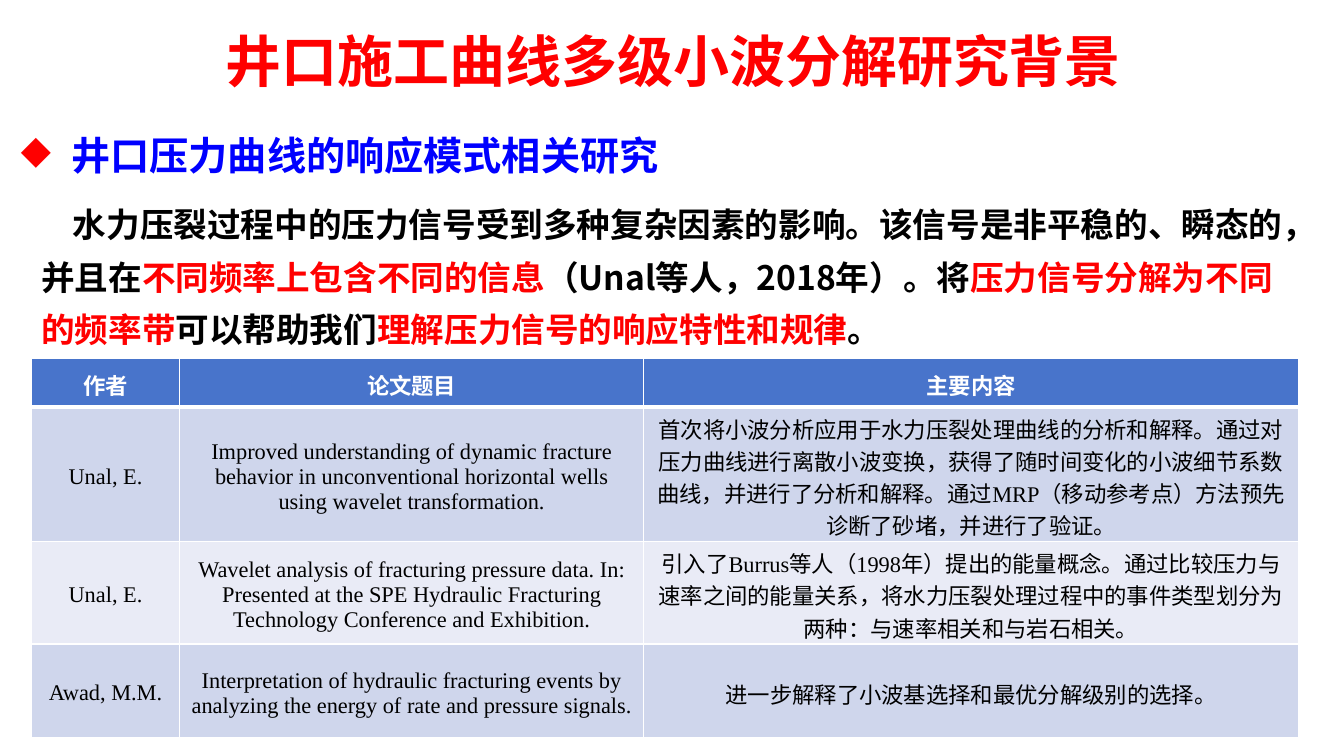
from lxml.etree import SubElement
from pptx import Presentation
from pptx.dml.color import RGBColor
from pptx.enum.text import MSO_ANCHOR as Anchor, MSO_AUTO_SIZE as AutoSize, PP_ALIGN as Align
from pptx.oxml.ns import qn
from pptx.util import Cm, Pt

RED = RGBColor(0xFF, 0, 0)
BLUE = RGBColor(0, 0, 0xFF)
BLACK = RGBColor(0, 0, 0)
WHITE = RGBColor(0xFF, 0xFF, 0xFF)
HEADER_FILL = RGBColor(0x48, 0x74, 0xCB)
BAND_FILLS = [RGBColor(0xE9, 0xEB, 0xF6), RGBColor(0xCF, 0xD6, 0xEC)]
SANS = "Noto Sans CJK SC"
SERIF = "Times New Roman"

TITLE = "井口施工曲线多级小波分解研究背景"
HEADING = "井口压力曲线的响应模式相关研究"
BODY = [
    ("水力压裂过程中的压力信号受到多种复杂因素的影响。该信号是非平稳的、瞬态的，并且在", BLACK),
    ("不同频率上包含不同的信息", RED),
    ("（Unal等人，2018年）。将", BLACK),
    ("压力信号分解为不同的频率带", RED),
    ("可以帮助我们", BLACK),
    ("理解压力信号的响应特性和规律", RED),
    ("。", BLACK),
]
PAPERS = [
    ("作者", "论文题目", "主要内容"),
    ("Unal, E.",
     "Improved understanding of dynamic fracture behavior in unconventional horizontal wells "
     "using wavelet transformation.",
     "首次将小波分析应用于水力压裂处理曲线的分析和解释。通过对压力曲线进行离散小波变换，"
     "获得了随时间变化的小波细节系数曲线，并进行了分析和解释。"
     "通过MRP（移动参考点）方法预先诊断了砂堵，并进行了验证。"),
    ("Unal, E.",
     "Wavelet analysis of fracturing pressure data. In: Presented at the SPE Hydraulic Fracturing "
     "Technology Conference and Exhibition.",
     "引入了Burrus等人（1998年）提出的能量概念。通过比较压力与速率之间的能量关系，"
     "将水力压裂处理过程中的事件类型划分为两种：与速率相关和与岩石相关。"),
    ("Awad, M.M.",
     "Interpretation of hydraulic fracturing events by analyzing the energy of rate and pressure signals.",
     "进一步解释了小波基选择和最优分解级别的选择。"),
]
COLUMN_WIDTHS = [Cm(3.74), Cm(11.69), Cm(16.51)]
ROW_HEIGHTS = [Cm(1.24), Cm(3.38), Cm(2.59), Cm(2.36)]


def add_run(paragraph, text, size, color, font_name, bold=True):
    run = paragraph.add_run()
    run.text = text
    run.font.size = Pt(size)
    run.font.bold = bold
    run.font.color.rgb = color
    run.font.name = font_name
    SubElement(run.font._element, qn("a:ea"), typeface=SANS)


def add_text_box(slide, left, top, width, height):
    frame = slide.shapes.add_textbox(left, top, width, height).text_frame
    frame.word_wrap = True
    return frame.paragraphs[0]


def set_indent(paragraph, left, first_line):
    properties = paragraph._p.get_or_add_pPr()
    properties.set("marL", str(left))
    properties.set("indent", str(first_line))
    return properties


def add_borders(cell, bottom_width):
    properties = cell._tc.get_or_add_tcPr()
    widths = {"a:lnL": 1, "a:lnR": 1, "a:lnT": 1, "a:lnB": bottom_width}
    for position, (tag, width) in enumerate(widths.items()):
        line = SubElement(properties, qn(tag), w=str(Pt(width)))
        fill = SubElement(line, qn("a:solidFill"))
        SubElement(fill, qn("a:srgbClr"), val=str(WHITE))
        properties.insert(position, line)


def add_title(slide):
    title = slide.shapes.title
    title.left, title.top, title.width, title.height = Cm(4.27), Cm(0.53), Cm(25.4), Cm(1.96)
    frame = title.text_frame
    frame.auto_size = AutoSize.NONE
    frame.vertical_anchor = Anchor.MIDDLE
    frame.paragraphs[0].alignment = Align.CENTER
    add_run(frame.paragraphs[0], TITLE, 40, RED, SANS)


def add_heading(slide):
    paragraph = add_text_box(slide, Cm(0.28), Cm(3.18), Cm(17.88), Cm(1.45))
    properties = set_indent(paragraph, Cm(1.27), -Cm(1.27))
    bullet_color = SubElement(properties, qn("a:buClr"))
    SubElement(bullet_color, qn("a:srgbClr"), val=str(RED))
    SubElement(properties, qn("a:buChar"), char="◆")
    add_run(paragraph, HEADING, 28, BLUE, SERIF)


def add_body(slide):
    paragraph = add_text_box(slide, Cm(0.79), Cm(4.72), Cm(32.28), Cm(4.24))
    set_indent(paragraph, 0, Cm(0.8))
    paragraph.line_spacing = 1.3
    for text, color in BODY:
        add_run(paragraph, text, 24, color, SANS)


def add_paper_table(slide):
    table = slide.shapes.add_table(
        len(PAPERS), len(COLUMN_WIDTHS), Cm(0.79), Cm(9.02),
        sum(COLUMN_WIDTHS), sum(ROW_HEIGHTS)).table
    for column, width in zip(table.columns, COLUMN_WIDTHS):
        column.width = width
    for row_index, (row, height, texts) in enumerate(zip(table.rows, ROW_HEIGHTS, PAPERS)):
        row.height = height
        header = row_index == 0
        for cell, text in zip(row.cells, texts):
            cell.vertical_anchor = Anchor.MIDDLE
            cell.margin_bottom = 0
            cell.fill.solid()
            cell.fill.fore_color.rgb = HEADER_FILL if header else BAND_FILLS[row_index % 2]
            add_borders(cell, 3 if header else 1)
            paragraph = cell.text_frame.paragraphs[0]
            paragraph.alignment = Align.CENTER
            add_run(paragraph, text, 16, WHITE if header else BLACK, SERIF, header)


def main():
    presentation = Presentation()
    presentation.slide_width, presentation.slide_height = Cm(33.87), Cm(19.05)
    slide = presentation.slides.add_slide(presentation.slide_layouts[5])
    add_title(slide)
    add_heading(slide)
    add_body(slide)
    add_paper_table(slide)
    presentation.save("out.pptx")


if __name__ == "__main__":
    main()
